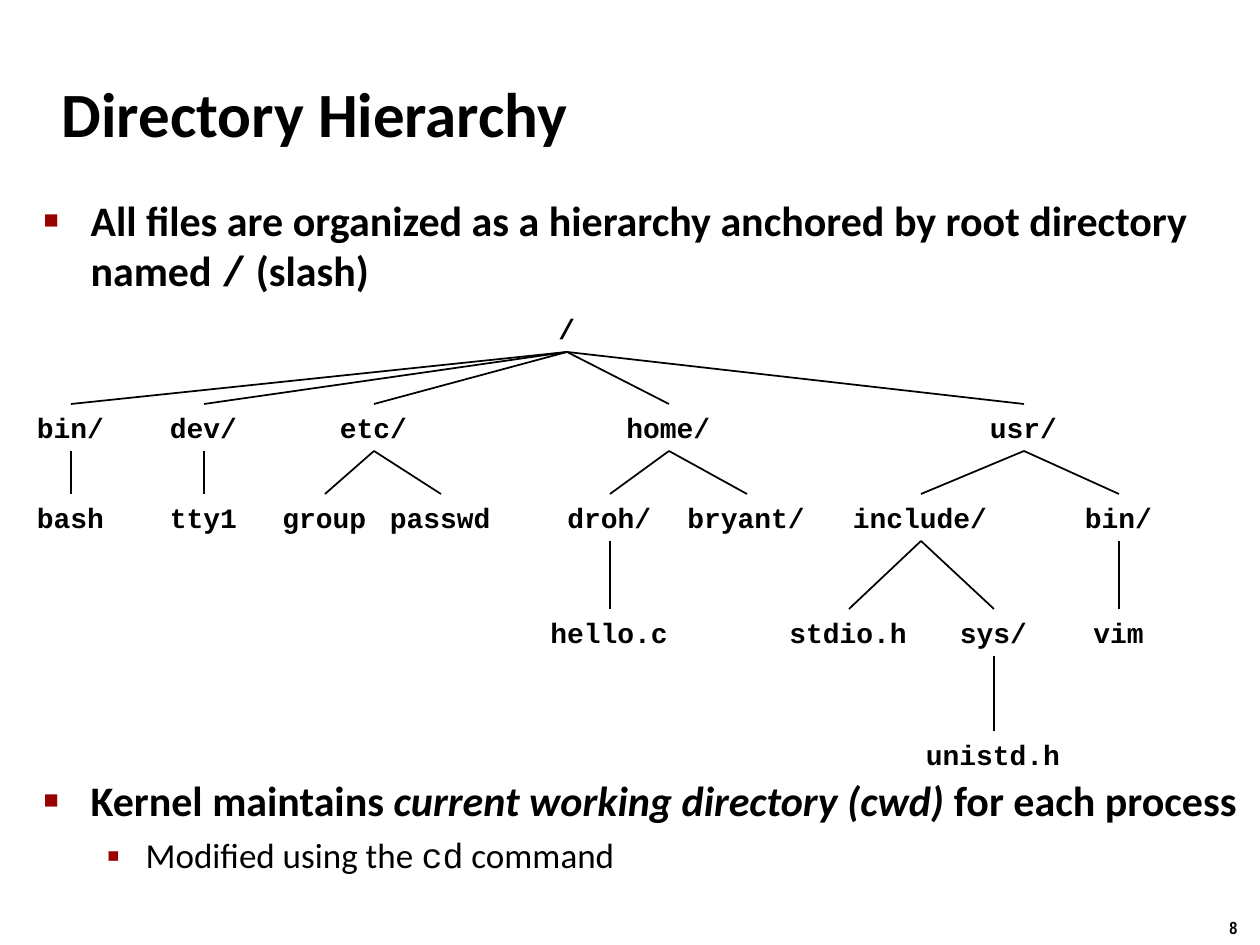
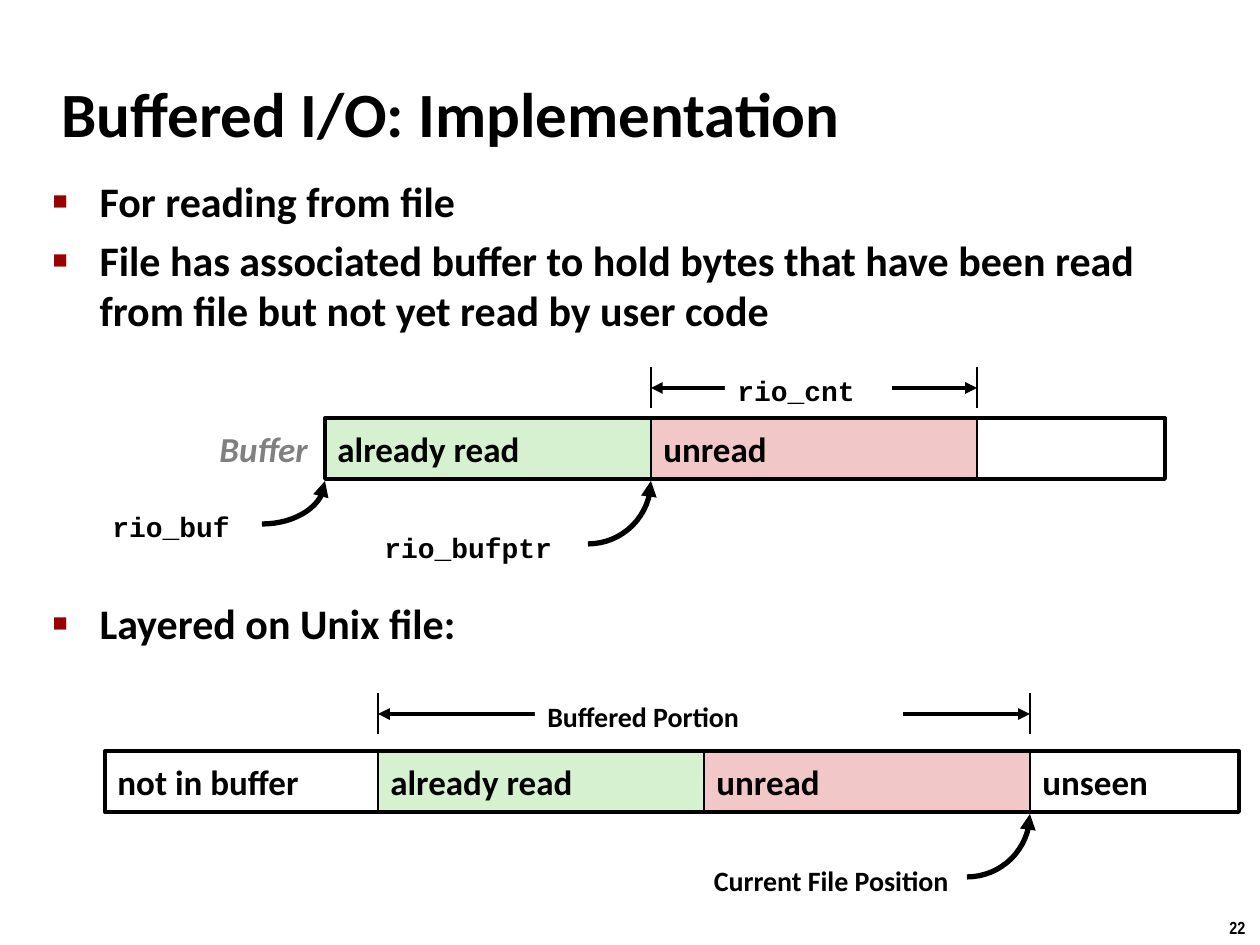
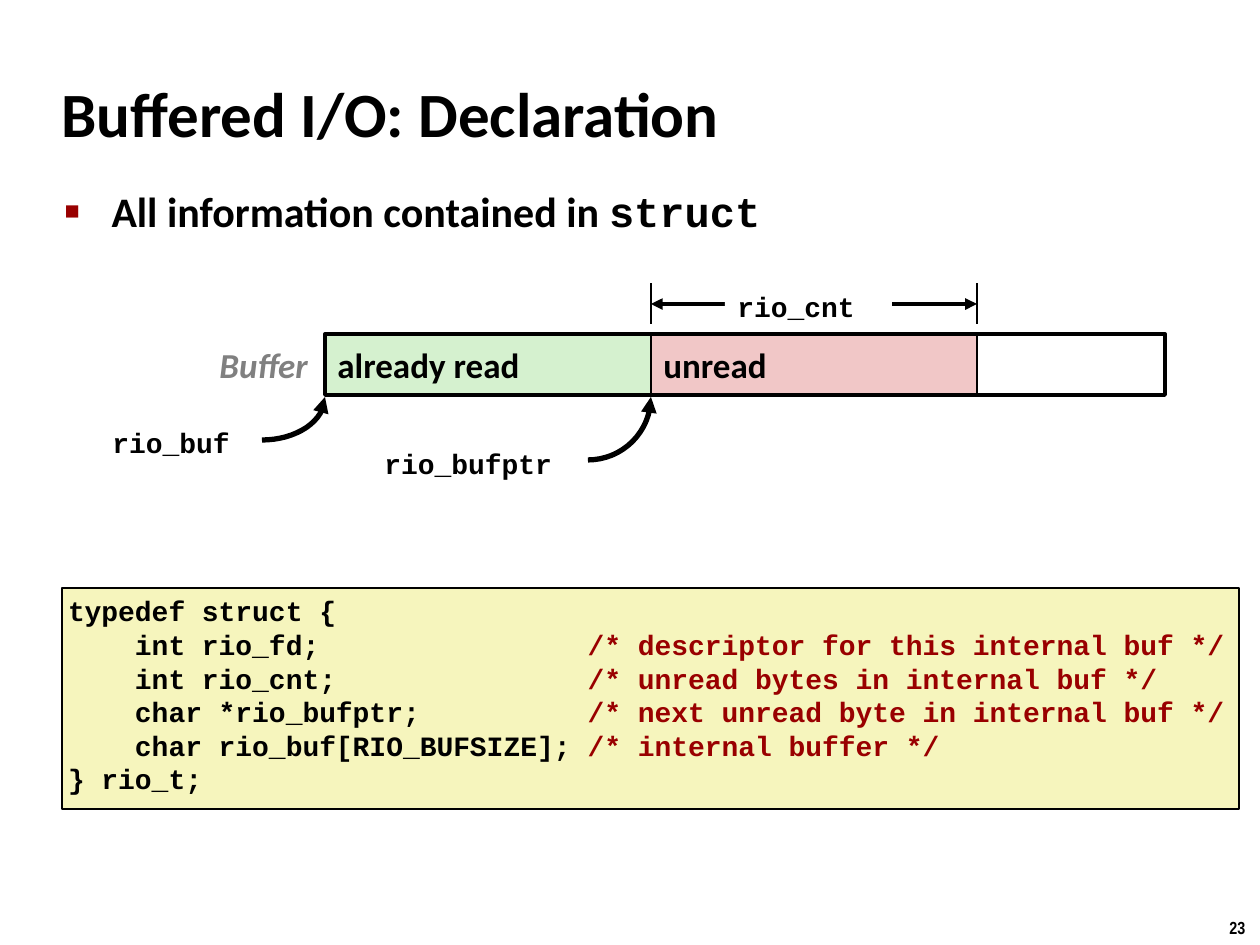
import math

import lxml.etree
import pptx
import pptx.dml.color
import pptx.enum.shapes
import pptx.enum.text
import pptx.oxml.ns
import pptx.util

RGB = pptx.dml.color.RGBColor
BLACK = RGB(0x00, 0x00, 0x00)
WHITE = RGB(0xFF, 0xFF, 0xFF)
GRAY = RGB(0x80, 0x80, 0x80)
RED = RGB(0x99, 0x00, 0x00)
GREEN = RGB(0xD5, 0xF1, 0xCF)
PINK = RGB(0xF1, 0xC7, 0xC7)
CREAM = RGB(0xF6, 0xF5, 0xBD)

SANS, MONO, NARROW = "Calibri", "Courier New", "Arial Narrow"
ALIGN = pptx.enum.text.PP_ALIGN
ANCHOR = pptx.enum.text.MSO_ANCHOR
SCALE = 914400 / 126

# Per list level: bullet, bullet size, left margin, hanging indent, text size, bold
LEVELS = [("■", 60000, 47, 47, 24, True), ("▪", 110000, 102, 39, 20, False)]

CELL = 326  # width of a filled buffer part
BAR = 61    # height of a buffer
GAP = 63    # from a buffer's top to the tip of a pointer below it

ROWS = [305, 404, 494, 609, 731]
TREE = ("/", 567, [
    ("bin/", 71, [("bash", 71, [])]),
    ("dev/", 204, [("tty1", 204, [])]),
    ("etc/", 374, [("group", 325, []), ("passwd", 441, [])]),
    ("home/", 669, [("droh/", 610, [("hello.c", 610, [])]),
                    ("bryant/", 747, [])]),
    ("usr/", 1024, [
        ("include/", 921, [("stdio.h", 849, []),
                           ("sys/", 994, [("unistd.h", 994, [])])]),
        ("bin/", 1119, [("vim", 1119, [])])])])

CODE = """\
typedef struct {
    int rio_fd;                /* descriptor for this internal buf */
    int rio_cnt;               /* unread bytes in internal buf */
    char *rio_bufptr;          /* next unread byte in internal buf */
    char rio_buf[RIO_BUFSIZE]; /* internal buffer */
} rio_t;"""


def px(*nums):
    return [pptx.util.Emu(round(n * SCALE)) for n in nums]


def sub(node, tag, **attrs):
    return lxml.etree.SubElement(node, pptx.oxml.ns.qn(tag), attrs)


def style(font, color=None, size=None, name=None, bold=None, italic=None):
    """Set a font; what is left out is inherited."""
    if color is not None:
        font.color.rgb = color
    if size is not None:
        font.size = pptx.util.Pt(size)
    font.name, font.bold, font.italic = name, bold, italic


class Deck:
    def __init__(self):
        self.prs = pptx.Presentation()
        self.prs.slide_width, self.prs.slide_height = px(1260, 945)

    def page(self, title, num):
        self.slide = self.prs.slides.add_slide(self.prs.slide_layouts[1])
        self.shapes = self.slide.shapes
        head = self.shapes.title
        self.place(head, 49, 60, 1046, 105)
        head.text_frame.vertical_anchor = ANCHOR.MIDDLE
        self.put(head, [[title]], size=36)
        self.text(1217, 911, 43, 34, num, size=10, name=NARROW, wrap=False)

    def place(self, shape, *area):
        shape.left, shape.top, shape.width, shape.height = px(*area)

    def put(self, shape, lines, size=16, name=SANS, color=BLACK,
            align=ALIGN.LEFT, wrap=True, italic=False):
        """Fill a shape; a line is a list of strings or (string, style) pairs."""
        frame = shape.text_frame
        frame.word_wrap = wrap
        for i, line in enumerate(lines):
            para = frame.add_paragraph() if i else frame.paragraphs[0]
            para.alignment = align
            style(para.font, color, size, name, True, italic)
            self.runs(para, line)

    def runs(self, para, line):
        for part in line:
            text, look = (part, {}) if isinstance(part, str) else part
            run = para.add_run()
            run.text = text
            style(run.font, **look)

    def items(self, area, rows):
        """Fill the body; a row is (level, points before, line)."""
        body = self.slide.placeholders[1]
        self.place(body, *area)
        frame = body.text_frame
        frame.auto_size = pptx.enum.text.MSO_AUTO_SIZE.NONE
        for i, (level, before, line) in enumerate(rows):
            para = frame.add_paragraph() if i else frame.paragraphs[0]
            mark, scale, left, hang, size, bold = LEVELS[level]
            para.level = level
            props = para._p.get_or_add_pPr()
            props.set("marL", str(px(left)[0]))
            props.set("indent", str(px(-hang)[0]))
            tint = sub(props, "a:buClr")
            sub(tint, "a:srgbClr", val=str(RED))
            sub(props, "a:buSzPct", val=str(scale))
            sub(props, "a:buChar", char=mark)
            para.space_before = pptx.util.Pt(before)
            style(para.font, BLACK, size, SANS, bold)
            self.runs(para, line)

    def text(self, x, y, w, h, text, **look):
        box = self.shapes.add_textbox(*px(x, y, w, h))
        self.put(box, [[text]], **look)
        return box

    def box(self, x, y, w, h, lines=(), fill=None, line=1.5,
            anchor=ANCHOR.MIDDLE, **look):
        rect = self.shapes.add_shape(
            pptx.enum.shapes.MSO_SHAPE.RECTANGLE, *px(x, y, w, h))
        self.paint(rect, fill, line)
        rect.text_frame.vertical_anchor = anchor
        self.put(rect, lines, **look)
        return rect

    def paint(self, shape, fill, line):
        shape.shadow.inherit = False
        if fill is None:
            shape.fill.background()
        else:
            shape.fill.solid()
            shape.fill.fore_color.rgb = fill
        if line:
            self.pen(shape, line)
        else:
            shape.line.fill.background()

    def pen(self, shape, width, *ends):
        shape.line.color.rgb = BLACK
        shape.line.width = pptx.util.Pt(width)
        for end in ends:
            sub(shape.line._get_or_add_ln(), end, type="triangle")

    def line(self, x1, y1, x2, y2, width, *ends):
        link = self.shapes.add_connector(
            pptx.enum.shapes.MSO_CONNECTOR.STRAIGHT, *px(x1, y1, x2, y2))
        self.pen(link, width, *ends)
        sub(link._element.spPr, "a:effectLst")
        return link

    def bow(self, x, y, w, h):
        """Draw a quarter ellipse whose arrow tip points up at x, y."""
        turns = [math.pi / 2 * i / 16 for i in range(17)]
        dots = [px(x - w + w * math.cos(t), y + h * math.sin(t))
                for t in turns]
        trail = self.shapes.build_freeform(*dots[0])
        trail.add_line_segments(dots[1:], close=False)
        curve = trail.convert_to_shape()
        self.paint(curve, None, None)
        self.pen(curve, 3, "a:headEnd")

    def span(self, left, right, top, label, x, w, h, name):
        """Mark a width with two ticks, a double arrow and a label."""
        for tick in (left, right):
            self.line(tick, top + 41, tick, top, 1.5)
        mid = top + 21
        self.line(left, mid, right, mid, 2.25, "a:headEnd", "a:tailEnd")
        self.box(x, top, w, h, [[label]], WHITE, None, ANCHOR.TOP, name=name)

    def bar(self, left, top, width, cells):
        for x, w, label, fill in cells:
            self.box(x, top, w, BAR, [[label]], fill, size=20)
        self.box(left, top, width, BAR, line=2.25)

    def buffer(self, top):
        left = 325
        mid, end = left + CELL, left + 2 * CELL
        self.bar(left, top, 840, [(left, CELL, "already read", GREEN),
                                  (mid, CELL, "unread", PINK)])
        self.text(207, top + 3, 117, 55, "Buffer", size=20, color=GRAY,
                  italic=True, wrap=False)
        self.bow(left, top + GAP, 63, 43)
        self.bow(mid, top + GAP, 63, 63)
        self.text(100, top + 85, 144, 43, "rio_buf", name=MONO)
        self.text(372, top + 106, 221, 43, "rio_bufptr", name=MONO)
        self.span(mid, end, top - 51, "rio_cnt", 725, 167, 43, MONO)

    def tree(self, node, depth=0, above=None):
        label, mid, kids = node
        wide = 25 + 17 * len(label)
        box = self.text(mid - wide / 2, ROWS[depth], wide, 47, label,
                        name=MONO, wrap=False)
        if above is not None:
            link = self.line(0, 0, 1, 1, 1)
            link.begin_connect(above, 2)
            link.end_connect(box, 0)
        for kid in kids:
            self.tree(kid, depth + 1, box)


def hierarchy(deck):
    deck.page("Directory Hierarchy", "8")
    deck.items((31, 188, 1226, 726), [
        (0, 0, ["All files are organized as a hierarchy anchored by root "
                "directory named ", ("/", {"name": MONO}), " (slash)"]),
        (0, 274, ["Kernel maintains ",
                  ("current working directory (cwd) ", {"italic": True}),
                  "for each process"]),
        (1, 5, ["Modified using the ", ("cd", {"name": MONO}), " command"])])
    deck.tree(TREE)


def implementation(deck):
    deck.page("Buffered I/O: Implementation", "22")
    deck.items((40, 169, 1145, 546), [
        (0, 0, ["For reading from file"]),
        (0, 5, ["File has associated buffer to hold bytes that have been "
                "read from file but not yet read by user code"]),
        (0, 150, ["Layered on Unix file:"])])
    deck.buffer(418)
    left, start, top, width = 105, 378, 751, 1134
    mid, end = start + CELL, start + 2 * CELL
    deck.bar(left, top, width, [
        (left, start - left, "not in buffer", WHITE),
        (start, CELL, "already read", GREEN),
        (mid, CELL, "unread", PINK),
        (end, left + width - end, "unseen", WHITE)])
    deck.bow(end, top + GAP, 63, 63)
    deck.text(604, 857, 357, 47, "Current File Position", align=ALIGN.RIGHT)
    deck.span(start, end, 693, "Buffered Portion", 535, 368, 47, SANS)


def declaration(deck):
    deck.page("Buffered I/O: Declaration", "23")
    deck.items((52, 179, 1145, 83), [
        (0, 0, ["All information contained in ",
                ("struct", {"name": MONO})])])
    lines = []
    for row in CODE.splitlines():
        code, mark, note = row.partition("/*")
        lines.append([code, (mark + note, {"color": RED})] if mark else [code])
    box = deck.box(62, 588, 1177, 221, lines, CREAM, 1, ANCHOR.TOP, name=MONO)
    frame = box.text_frame
    (frame.margin_left, frame.margin_top,
     frame.margin_right, frame.margin_bottom) = px(6, 6, 6, 6)
    deck.buffer(334)


def main():
    deck = Deck()
    hierarchy(deck)
    implementation(deck)
    declaration(deck)
    deck.prs.save("out.pptx")


if __name__ == "__main__":
    main()
